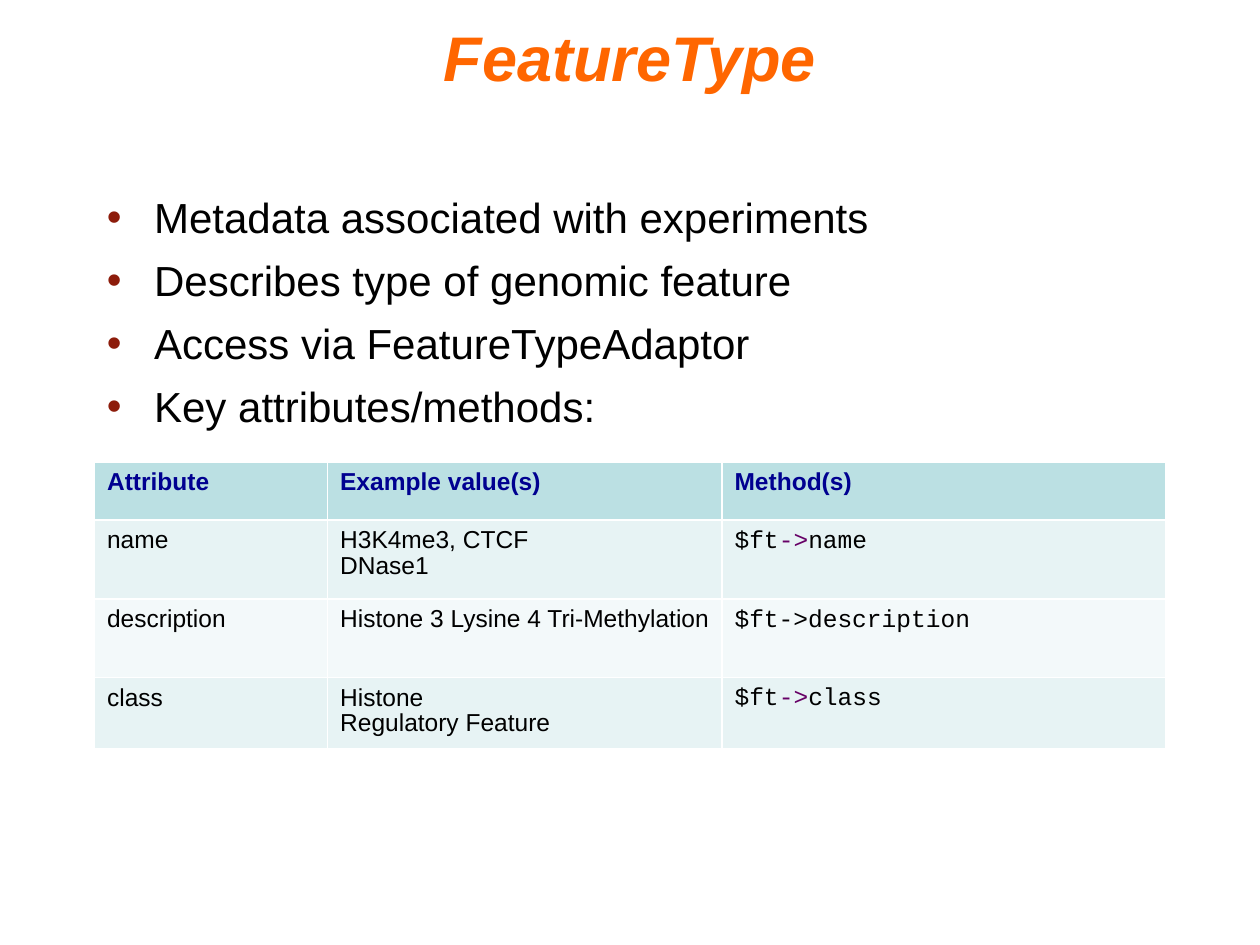
"""Build the FeatureType slide: title, bullet points and attribute table."""
from lxml.etree import SubElement
from pptx import Presentation
from pptx.dml.color import RGBColor
from pptx.enum.text import PP_ALIGN
from pptx.oxml.ns import qn
from pptx.util import Pt

ORANGE = RGBColor(0xFF, 0x66, 0x00)
MAROON = RGBColor(0x8D, 0x1C, 0x0B)
BLACK = RGBColor(0x00, 0x00, 0x00)
NAVY = RGBColor(0x00, 0x00, 0x90)
PURPLE = RGBColor(0x66, 0x00, 0x66)
WHITE = RGBColor(0xFF, 0xFF, 0xFF)
TEAL = RGBColor(0xBB, 0xE0, 0xE3)
PALE = RGBColor(0xE7, 0xF3, 0xF4)
PALER = RGBColor(0xF3, 0xF9, 0xFA)

POINTS = [
    "Metadata associated with experiments",
    "Describes type of genomic feature",
    "Access via FeatureTypeAdaptor",
    "Key attributes/methods:",
]
HEADINGS = ["Attribute", "Example value(s)", "Method(s)"]
ATTRIBUTES = [
    ("name", "H3K4me3, CTCF\nDNase1", PURPLE),
    ("description", "Histone 3 Lysine 4 Tri-Methylation", BLACK),
    ("class", "Histone\nRegulatory Feature", PURPLE),
]
COLUMN_WIDTHS = [133.2, 225.4, 253.4]
ROW_HEIGHTS = [33, 45, 45, 40.5]


def write(paragraph, text, *, size, face="Arial", color=BLACK, bold=False, italic=False):
    run = paragraph.add_run()
    run.text = text
    font = run.font
    font.size, font.name, font.bold, font.italic = Pt(size), face, bold, italic
    font.color.rgb = color


class FeatureSlide:
    left, width = 54, 612
    title_size, point_size, cell_size = 36, 24, 14

    def __init__(self, slide):
        self.slide = slide

    def frame(self, top, height, inset):
        box = self.slide.shapes.add_textbox(Pt(self.left), Pt(top), Pt(self.width), Pt(height))
        frame = box.text_frame
        frame.word_wrap = True
        frame.margin_top = Pt(inset)
        return frame

    def title(self, text):
        heading = self.frame(3.6, 72, 7.2).paragraphs[0]
        heading.alignment = PP_ALIGN.CENTER
        write(heading, text, size=self.title_size, color=ORANGE, bold=True, italic=True)

    def bullets(self, points):
        frame = self.frame(103.7, 342, 6)
        for index, text in enumerate(points):
            point = frame.add_paragraph() if index else frame.paragraphs[0]
            if index:
                point.space_before = Pt(7.2)
            properties = point._p.get_or_add_pPr()
            properties.set("marL", str(Pt(27)))
            properties.set("indent", str(-Pt(27)))
            bullet_color = SubElement(properties, qn("a:buClr"))
            SubElement(bullet_color, qn("a:srgbClr"), val=str(MAROON))
            SubElement(properties, qn("a:buFont"), typeface="Arial")
            SubElement(properties, qn("a:buChar"), char="•")
            write(point, text, size=self.point_size)

    def table(self, headings, attributes):
        grid = self.slide.shapes.add_table(
            len(attributes) + 1, len(headings), Pt(self.left), Pt(264.3),
            Pt(self.width), Pt(sum(ROW_HEIGHTS))).table
        for column, width in zip(grid.columns, COLUMN_WIDTHS):
            column.width = Pt(width)
        for row, height in zip(grid.rows, ROW_HEIGHTS):
            row.height = Pt(height)
        for column, heading in enumerate(headings):
            label = self.cell(grid.cell(0, column), TEAL, bottom=1.5)
            write(label.paragraphs[0], heading, size=self.cell_size, color=NAVY, bold=True)
        for row, (attribute, values, arrow_color) in enumerate(attributes, 1):
            fill = PALE if row % 2 else PALER
            top = 1.5 if row == 1 else 0.75
            name, examples, method = (
                self.cell(grid.cell(row, column), fill, top=top) for column in range(3))
            write(name.paragraphs[0], attribute, size=self.cell_size)
            for index, value in enumerate(values.split("\n")):
                line = examples.add_paragraph() if index else examples.paragraphs[0]
                line.line_spacing = 0.94
                write(line, value, size=self.cell_size)
            call = method.paragraphs[0]
            call.line_spacing = 0.96
            for part, color in (("$ft", BLACK), ("->", arrow_color), (attribute, BLACK)):
                write(call, part, size=self.cell_size, face="Courier New", color=color)

    def cell(self, cell, fill, top=0.75, bottom=0.75):
        cell.margin_top = Pt(4.4)
        properties = cell._tc.get_or_add_tcPr()
        for side, weight in (("L", 0.75), ("R", 0.75), ("T", top), ("B", bottom)):
            border = SubElement(properties, qn(f"a:ln{side}"), w=str(Pt(weight)))
            SubElement(SubElement(border, qn("a:solidFill")), qn("a:srgbClr"), val=str(WHITE))
        cell.fill.solid()
        cell.fill.fore_color.rgb = fill
        cell.text_frame.paragraphs[0].line_spacing = 0.94
        return cell.text_frame


def main():
    deck = Presentation()
    deck.slide_width, deck.slide_height = Pt(720), Pt(540)
    feature_type = FeatureSlide(deck.slides.add_slide(deck.slide_layouts[6]))
    feature_type.title("FeatureType")
    feature_type.bullets(POINTS)
    feature_type.table(HEADINGS, ATTRIBUTES)
    deck.save("out.pptx")


if __name__ == "__main__":
    main()
